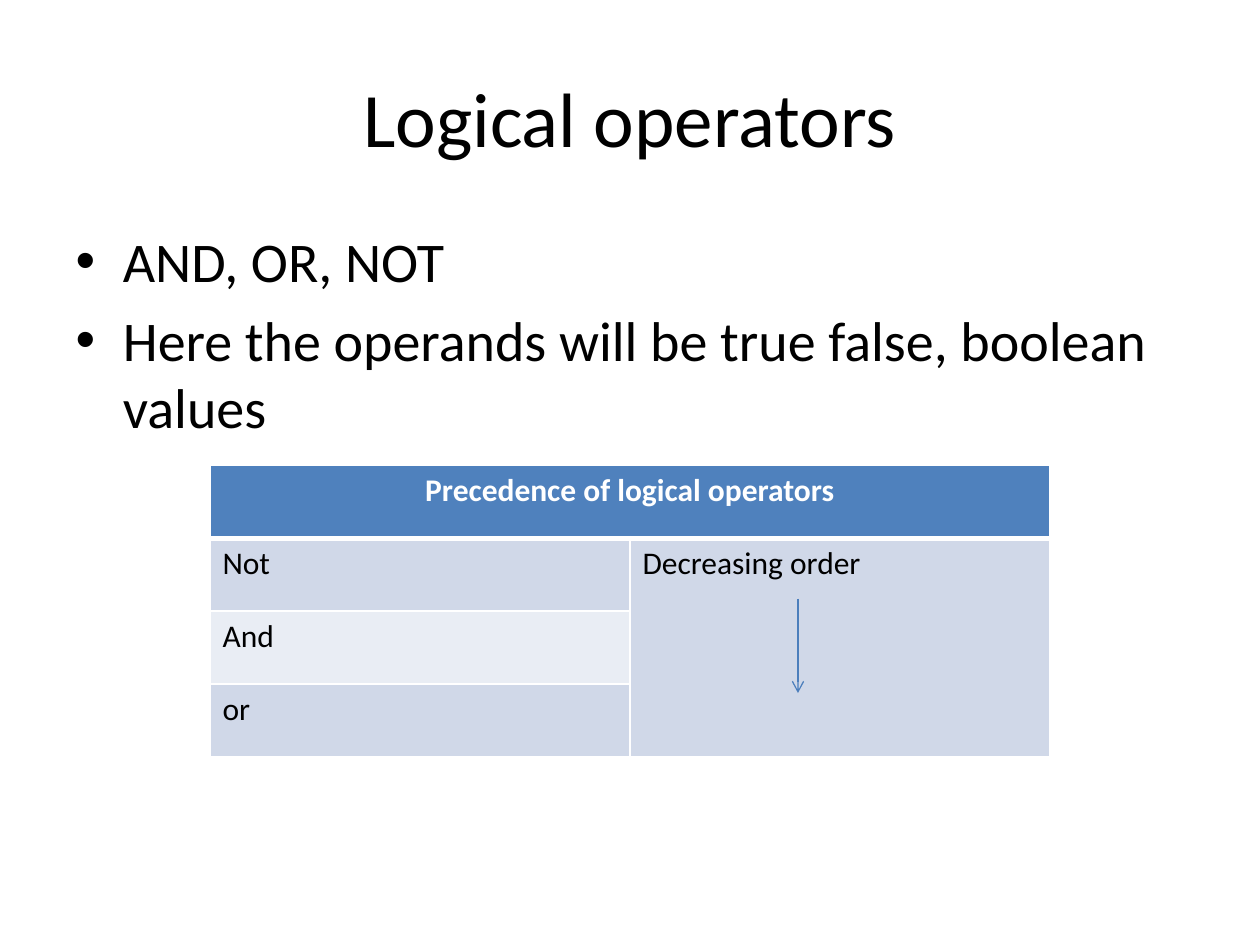
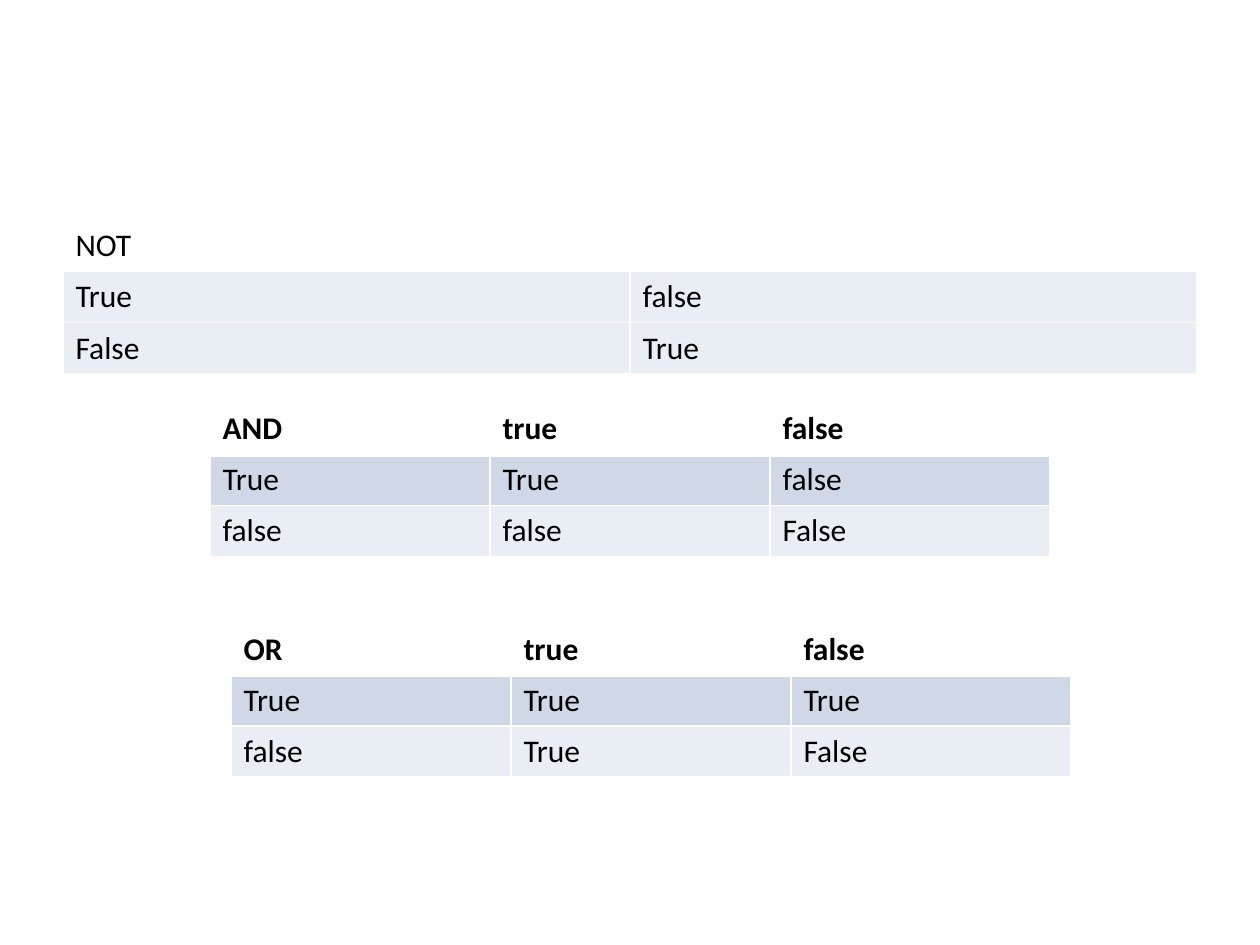
from dataclasses import dataclass
from typing import NamedTuple

from lxml.etree import SubElement
from pptx import Presentation
from pptx.dml.color import RGBColor
from pptx.enum.shapes import MSO_CONNECTOR
from pptx.enum.text import MSO_ANCHOR, PP_ALIGN
from pptx.oxml.ns import qn
from pptx.util import Pt


@dataclass(frozen=True)
class Theme:
    font: str = "Calibri"
    title_size: int = 44
    body_size: int = 32
    table_size: int = 18
    text: str = "000000"
    light: str = "FFFFFF"
    header: str = "4F81BD"
    band_dark: str = "D0D8E8"
    band_light: str = "E9EDF4"
    arrow: str = "4B7EBC"
    grid_width: int = 1
    header_rule: int = 3


class Box(NamedTuple):
    left: float
    top: float
    width: float
    height: float

    def lengths(self):
        return [Pt(value) for value in self]


THEME = Theme()
SLIDE = Box(0, 0, 720, 540)
TITLE_BOX = Box(36, 21.6, 648, 90)
BODY_BOX = Box(36, 126, 648, 356.4)
PRECEDENCE_BOX = Box(120, 266, 480, 166.4)
TRUTH_HEIGHT = 87.6
BANDS = (THEME.band_dark, THEME.band_light)


def set_format(target, values):
    for name, value in values.items():
        setattr(target, name, value)


def write_para(para, text, size, color=THEME.text, bold=False, **para_format):
    span = para.add_run()
    span.text = text
    set_format(span.font, {"name": THEME.font, "size": Pt(size), "bold": bold})
    span.font.color.rgb = RGBColor.from_string(color)
    set_format(para, para_format)


def fill_placeholder(shape, box, lines, size, anchor, **para_format):
    set_format(shape, dict(zip(("left", "top", "width", "height"), box.lengths())))
    frame = shape.text_frame
    set_format(frame, {"word_wrap": True, "vertical_anchor": anchor})
    for index, line in enumerate(lines):
        para = frame.add_paragraph() if index else frame.paragraphs[0]
        write_para(para, line, size, **para_format)


def set_borders(cell, top, bottom):
    properties = cell._tc.get_or_add_tcPr()
    widths = {"a:lnL": THEME.grid_width, "a:lnR": THEME.grid_width,
              "a:lnT": top, "a:lnB": bottom}
    for tag, width in widths.items():
        line = SubElement(properties, qn(tag), w=str(Pt(width)))
        color = SubElement(SubElement(line, qn("a:solidFill")), qn("a:srgbClr"))
        color.set("val", THEME.light)


def fill_cell(cell, text, fill_color, **text_format):
    if fill_color:
        cell.fill.solid()
        cell.fill.fore_color.rgb = RGBColor.from_string(fill_color)
    else:
        cell.fill.background()
    if text:
        write_para(cell.text_frame.paragraphs[0], text, THEME.table_size, **text_format)


def add_grid(page, box, rows, bands, header_fill=None, ruled=True, **header_format):
    """Add a table with equal cells, a header row and alternating row bands."""
    table = page.shapes.add_table(len(rows), len(rows[0]), *box.lengths()).table
    set_format(table, {"first_row": False, "horz_banding": False})
    for column in table.columns:
        column.width = Pt(box.width / len(rows[0]))
    rule = THEME.header_rule if ruled else THEME.grid_width
    for r, texts in enumerate(rows):
        table.rows[r].height = Pt(box.height / len(rows))
        fill_color = bands[(r - 1) % len(bands)] if r else header_fill
        text_format = {} if r else {"bold": ruled, **header_format}
        for c, text in enumerate(texts):
            cell = table.cell(r, c)
            set_borders(cell, rule if r == 1 else THEME.grid_width,
                        rule if r == 0 else THEME.grid_width)
            fill_cell(cell, text, fill_color, **text_format)
    return table


def add_down_arrow(page, x, top, length):
    arrow = page.shapes.add_connector(
        MSO_CONNECTOR.STRAIGHT, Pt(x), Pt(top), Pt(x), Pt(top + length))
    arrow.line.width = Pt(0.75)
    arrow.line.color.rgb = RGBColor.from_string(THEME.arrow)
    SubElement(arrow.line._get_or_add_ln(), qn("a:tailEnd"), type="arrow")
    SubElement(arrow._element.spPr, qn("a:effectLst"))


def add_precedence_table(page, box):
    rows = [("Precedence of logical operators", ""),
            ("Not", "Decreasing order"), ("And", ""), ("or", "")]
    table = add_grid(page, box, rows, BANDS, THEME.header,
                     color=THEME.light, alignment=PP_ALIGN.CENTER)
    table.cell(0, 0).merge(table.cell(0, 1))
    table.cell(1, 1).merge(table.cell(3, 1))
    add_down_arrow(page, box.left + 0.7 * box.width, box.top + 76, 54)


def add_operators_slide(deck):
    page = deck.slides.add_slide(deck.slide_layouts[1])
    fill_placeholder(page.shapes.title, TITLE_BOX, ["Logical operators"],
                     THEME.title_size, MSO_ANCHOR.MIDDLE, alignment=PP_ALIGN.CENTER)
    fill_placeholder(page.placeholders[1], BODY_BOX,
                     ["AND, OR, NOT",
                      "Here the operands will be true false, boolean values"],
                     THEME.body_size, MSO_ANCHOR.TOP)
    add_precedence_table(page, PRECEDENCE_BOX)


def add_truth_tables_slide(deck):
    page = deck.slides.add_slide(deck.slide_layouts[6])
    add_grid(page, Box(36, 126, 648, TRUTH_HEIGHT),
             [("NOT", ""), ("True", "false"), ("False", "True")],
             [THEME.band_light], ruled=False)
    add_grid(page, Box(120, 230.4, 480, TRUTH_HEIGHT),
             [("AND", "true", "false"), ("True", "True", "false"),
              ("false", "false", "False")], BANDS)
    add_grid(page, Box(132, 356.4, 480, TRUTH_HEIGHT),
             [("OR", "true", "false"), ("True", "True", "True"),
              ("false", "True", "False")], BANDS)


def main():
    deck = Presentation()
    set_format(deck, {"slide_width": Pt(SLIDE.width), "slide_height": Pt(SLIDE.height)})
    add_operators_slide(deck)
    add_truth_tables_slide(deck)
    deck.save("out.pptx")


if __name__ == "__main__":
    main()
